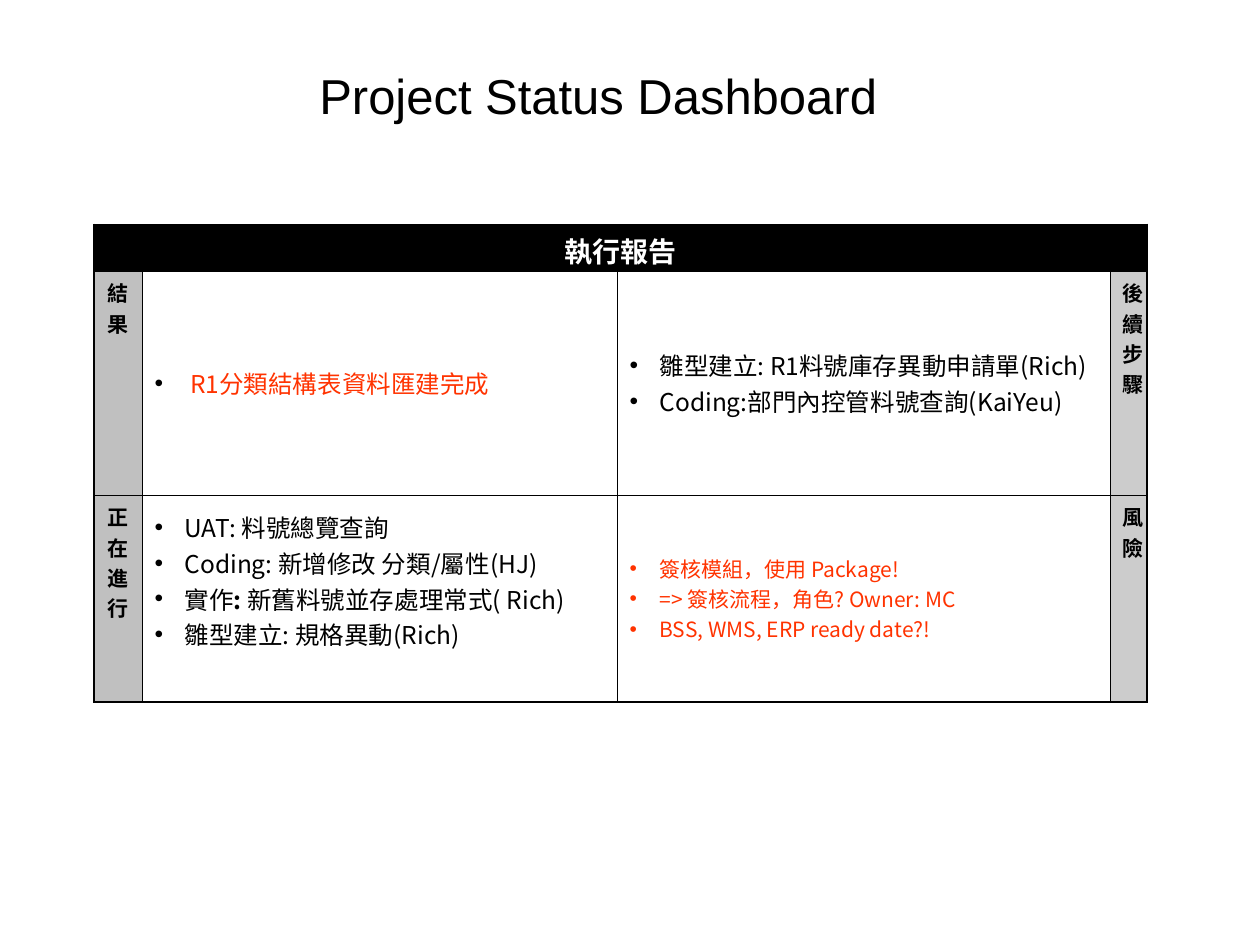
"""Build the project status dashboard slide."""
from lxml.etree import SubElement
from pptx import Presentation
from pptx.dml.color import RGBColor
from pptx.enum.text import MSO_ANCHOR as ANCHOR, PP_ALIGN as ALIGN
from pptx.oxml import parse_xml
from pptx.oxml.ns import nsdecls, qn
from pptx.util import Pt

PX = 914400 // 126
COLORS = {"black": "000000", "white": "FFFFFF", "red": "FF3300",
          "left": "C0C0C0", "right": "CCCCCC"}
CJK = "Noto Sans CJK TC"


def style(p, size, color, bold=False, font=CJK):
    p.font.size, p.font.bold, p.font.name = Pt(size), bold, font
    p.font.color.rgb = RGBColor.from_string(COLORS[color])
    rpr = p._p.pPr.find(qn("a:defRPr"))
    SubElement(rpr, qn("a:ea"), typeface=font)


def add_bullet(p, color):
    ppr = p._p.get_or_add_pPr()
    ppr.set("marL", str(30 * PX))
    ppr.set("indent", str(-30 * PX))
    ns = nsdecls("a")
    parts = [f'<a:buClr {ns}><a:srgbClr val="{COLORS[color]}"/></a:buClr>',
             f'<a:buFont {ns} typeface="Arial"/>', f'<a:buChar {ns} char="•"/>']
    for i, xml in enumerate(parts):
        ppr.insert(i, parse_xml(xml))


prs = Presentation()
prs.slide_width, prs.slide_height = 1260 * PX, 945 * PX
s = prs.slides.add_slide(prs.slide_layouts[6])

tf = s.shapes.add_textbox(63 * PX, 55 * PX, 1084 * PX, 79 * PX).text_frame
tf.word_wrap = True
tf.vertical_anchor = ANCHOR.MIDDLE
p = tf.paragraphs[0]
p.text = "Project Status Dashboard "
p.alignment = ALIGN.CENTER
style(p, 28, "black", font="Arial")

widths, heights = [48, 475, 493, 37], [47, 224, 207]
table = s.shapes.add_table(3, 4, 94 * PX, 224 * PX, sum(widths) * PX,
                           sum(heights) * PX).table
table.first_row = table.horz_banding = False
for col, w in zip(table.columns, widths):
    col.width = w * PX
for row, h in zip(table.rows, heights):
    row.height = h * PX

fills = ["left", "white", "white", "right"]
for r in range(3):
    for c in range(4):
        cell = table.cell(r, c)
        cell.fill.solid()
        fill = fills[c] if r else "black"
        cell.fill.fore_color.rgb = RGBColor.from_string(COLORS[fill])
        outer = {"L": c == 0, "R": c == 3, "T": False, "B": r == 2}
        for i, (side, thick) in enumerate(outer.items()):
            w = Pt(0.96 if thick else 0.45)
            cell._tc.get_or_add_tcPr().insert(i, parse_xml(
                f'<a:ln{side} {nsdecls("a")} w="{w}"><a:solidFill>'
                f'<a:srgbClr val="{COLORS["black"]}"/></a:solidFill></a:ln{side}>'))

header = table.cell(0, 0)
header.merge(table.cell(0, 3))
header.vertical_anchor = ANCHOR.MIDDLE

labels = [
    (0, 0, "執行報告", 16, "white", ALIGN.CENTER),
    (1, 0, "結果", 12, "black", ALIGN.CENTER),
    (1, 3, "後續步驟", 12, "black", ALIGN.LEFT),
    (2, 0, "正在進行", 12, "black", ALIGN.CENTER),
    (2, 3, "風險", 12, "black", ALIGN.LEFT),
]
for r, c, text, size, color, align in labels:
    p = table.cell(r, c).text_frame.paragraphs[0]
    p.text = text
    p.alignment = align
    style(p, size, color, bold=True)

lists = [
    (1, 1, 14, "red", "black", [" R1分類結構表資料匯建完成"]),
    (1, 2, 14, "black", "black", ["雛型建立: R1料號庫存異動申請單(Rich)",
                                  "Coding:部門內控管料號查詢(KaiYeu)"]),
    (2, 1, 14, "black", "black", ["UAT: 料號總覽查詢",
                                  "Coding: 新增修改 分類/屬性(HJ)",
                                  "實作|: |新舊料號並存處理常式( Rich)",
                                  "雛型建立: 規格異動(Rich)"]),
    (2, 2, 12, "red", "red", ["簽核模組，使用 Package!",
                              "=> 簽核流程，角色? Owner: MC",
                              "BSS, WMS, ERP ready date?!"]),
]
for r, c, size, color, bullet, items in lists:
    cell = table.cell(r, c)
    cell.vertical_anchor = ANCHOR.MIDDLE
    tf = cell.text_frame
    for i, item in enumerate(items):
        p = tf.add_paragraph() if i else tf.paragraphs[0]
        for j, text in enumerate(item.split("|")):
            run = p.add_run()
            run.text = text
            if j == 1:
                run.font.bold = True
        style(p, size, color)
        add_bullet(p, bullet)
table.cell(2, 1).margin_bottom = 42 * PX

prs.save("out.pptx")
